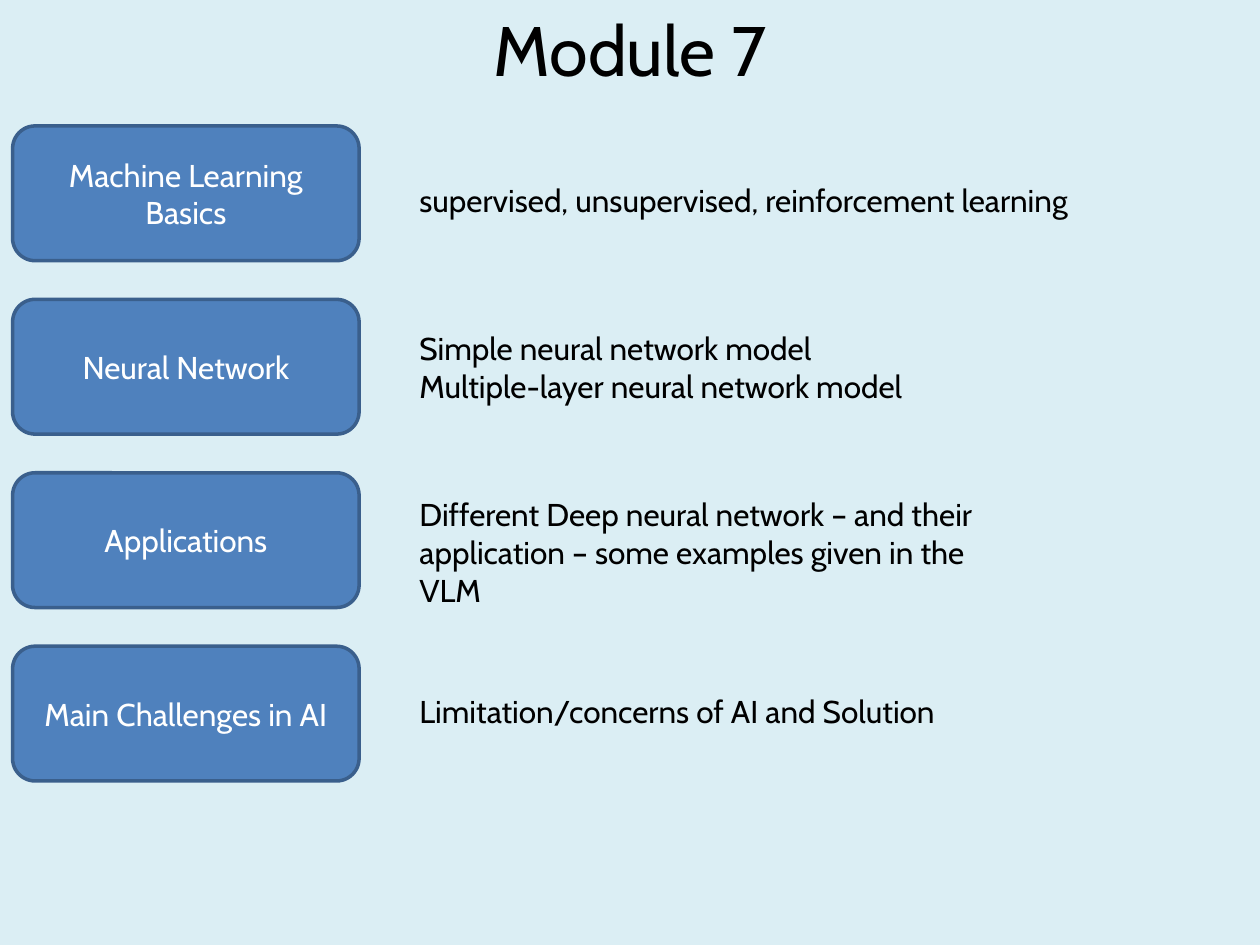
from pptx import Presentation
from pptx.dml.color import RGBColor as Rgb
from pptx.enum.shapes import MSO_SHAPE as Shape
from pptx.enum.text import MSO_ANCHOR as Anchor, MSO_AUTO_SIZE as Auto, PP_ALIGN as Align
from pptx.util import Pt

TITLE = "Module 7"
# topic, detail lines, detail top, detail width, detail height
TOPICS = [
    ("Machine Learning Basics",
     ["supervised, unsupervised, reinforcement learning"], 100.1, 391.7, 29),
    ("Neural Network",
     ["Simple neural network model",
      "Multiple-layer neural network model"], 184.3, 360, 51),
    ("Applications",
     ["Different Deep neural network – and their application – "
      "some examples given in the VLM"], 279.4, 360, 51),
    ("Main Challenges in AI",
     ["Limitation/concerns of AI and Solution"], 391.7, 360, 29),
]
COLORS = {"back": "DBEEF4", "box": "4F81BD", "edge": "3A5F8C",
          "light": "FFFFFF", "dark": "000000"}
FONT = "Cabin"
BOX_LEFT, BOX_TOP, BOX_WIDTH, BOX_HEIGHT = 7.2, 72, 198, 77
STEP = 99.1
TEXT_LEFT = 232.6


def color(name):
    return Rgb.from_string(COLORS[name])


def write(frame, lines, size=18, ink="dark", align=Align.LEFT, anchor=Anchor.TOP):
    frame.word_wrap = True
    frame.vertical_anchor = anchor
    for i, line in enumerate(lines):
        par = frame.paragraphs[0] if i == 0 else frame.add_paragraph()
        par.alignment = align
        run = par.add_run()
        run.text = line
        run.font.name = FONT
        run.font.size = Pt(size)
        run.font.color.rgb = color(ink)


def add_box(slide, top, topic):
    box = slide.shapes.add_shape(Shape.ROUNDED_RECTANGLE, Pt(BOX_LEFT), Pt(top),
                                 Pt(BOX_WIDTH), Pt(BOX_HEIGHT))
    box.shadow.inherit = False
    box.fill.solid()
    box.fill.fore_color.rgb = color("box")
    box.line.color.rgb = color("edge")
    box.line.width = Pt(2)
    write(box.text_frame, [topic], ink="light", align=Align.CENTER, anchor=Anchor.MIDDLE)


def add_detail(slide, top, width, height, lines):
    box = slide.shapes.add_textbox(Pt(TEXT_LEFT), Pt(top), Pt(width), Pt(height))
    write(box.text_frame, lines)
    box.text_frame.auto_size = Auto.SHAPE_TO_FIT_TEXT


def main():
    deck = Presentation()
    deck.slide_width, deck.slide_height = Pt(720), Pt(540)
    slide = deck.slides.add_slide(deck.slide_layouts[5])
    slide.background.fill.solid()
    slide.background.fill.fore_color.rgb = color("back")

    title = slide.shapes.title
    title.left, title.top, title.width, title.height = Pt(36), Pt(-3), Pt(648), Pt(61)
    write(title.text_frame, [TITLE], size=40, align=Align.CENTER, anchor=Anchor.MIDDLE)
    title.text_frame.auto_size = Auto.NONE

    for i, (topic, lines, top, width, height) in enumerate(TOPICS):
        add_box(slide, BOX_TOP + i * STEP, topic)
        add_detail(slide, top, width, height, lines)

    deck.save("out.pptx")


if __name__ == "__main__":
    main()
